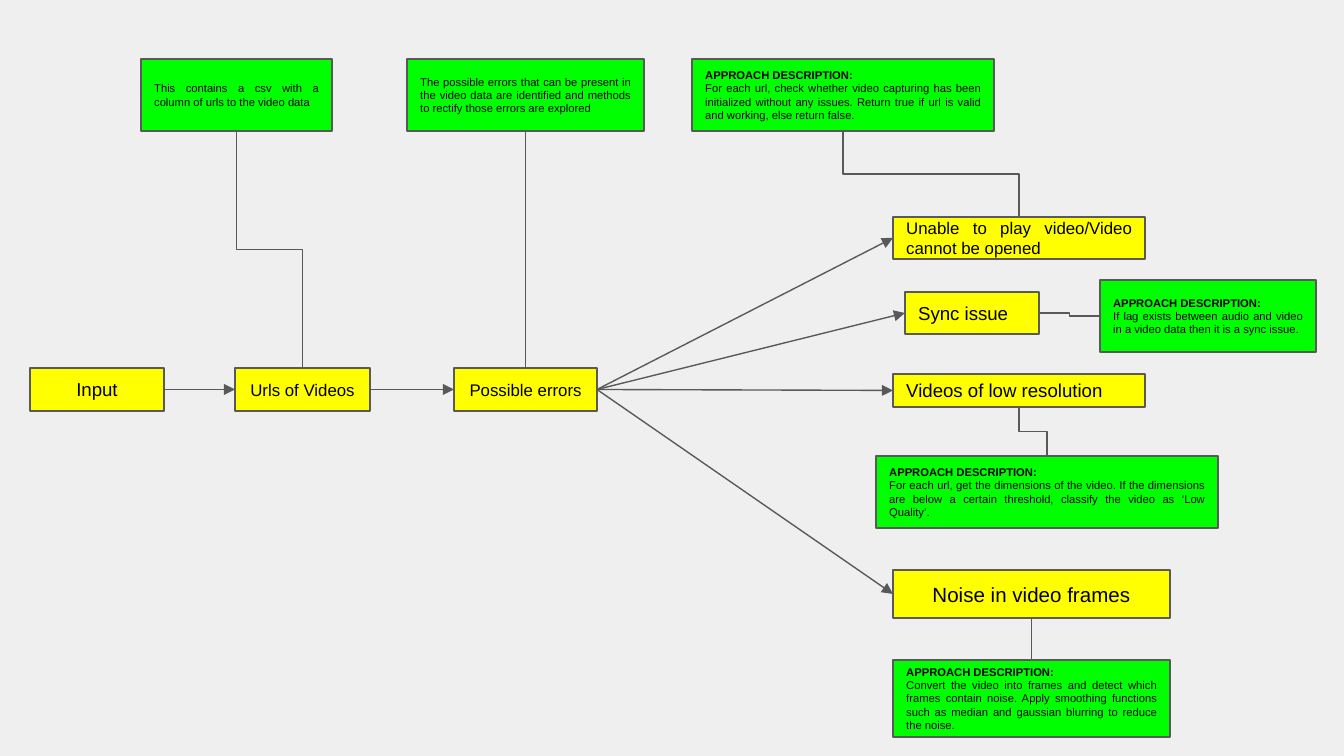
from lxml.etree import SubElement
from pptx import Presentation
from pptx.dml.color import RGBColor
from pptx.enum.shapes import MSO_CONNECTOR, MSO_SHAPE
from pptx.enum.text import MSO_ANCHOR, PP_ALIGN
from pptx.oxml.ns import qn
from pptx.util import Emu, Pt

PX = 914400 / 134.4
BACKGROUND = RGBColor(0xEF, 0xEF, 0xEF)
YELLOW = RGBColor(0xFF, 0xFF, 0x00)
GREEN = RGBColor(0x00, 0xFF, 0x00)
GREY = RGBColor(0x59, 0x59, 0x59)
BLACK = RGBColor(0x00, 0x00, 0x00)
TOP, LEFT, BOTTOM, RIGHT = range(4)
HEADING = "APPROACH DESCRIPTION:"

prs = Presentation()
prs.slide_width, prs.slide_height = Emu(round(1344 * PX)), Emu(round(756 * PX))
slide = prs.slides.add_slide(prs.slide_layouts[6])
slide.background.fill.solid()
slide.background.fill.fore_color.rgb = BACKGROUND


def add_box(text, at, fill=YELLOW, size=10, align=PP_ALIGN.CENTER, heading=None):
    box = slide.shapes.add_shape(MSO_SHAPE.RECTANGLE, *(Emu(round(v * PX)) for v in at))
    box.shadow.inherit = False
    box.fill.solid()
    box.fill.fore_color.rgb = fill
    box.line.color.rgb = GREY
    box.line.width = Pt(0.75)
    frame = box.text_frame
    frame.word_wrap = True
    frame.vertical_anchor = MSO_ANCHOR.MIDDLE
    frame.margin_left = frame.margin_right = Pt(7.2)
    frame.margin_top = frame.margin_bottom = Pt(7.2)
    lines = [heading, text] if heading else [text]
    for i, line in enumerate(lines):
        paragraph = frame.add_paragraph() if i else frame.paragraphs[0]
        paragraph.alignment = align
        run = paragraph.add_run()
        run.text = line
        run.font.name = "Arial"
        run.font.size = Pt(size)
        run.font.bold = line == heading
        run.font.color.rgb = BLACK
    return box


def connect(start, start_side, end, end_side, kind=MSO_CONNECTOR.STRAIGHT, arrow=False):
    link = slide.shapes.add_connector(kind, 0, 0, 0, 0)
    link.begin_connect(start, start_side)
    link.end_connect(end, end_side)
    properties = link._element.spPr
    if kind == MSO_CONNECTOR.ELBOW and start_side == BOTTOM:
        # An elbow that leaves downwards is a mirrored one turned by 270 degrees
        across, down = link.width, link.height
        shift = (across - down) // 2
        link.left, link.top = link.left + shift, link.top - shift
        link.width, link.height = down, across
        properties.xfrm.rot = 270
        properties.xfrm.flipH = True
    link.line.color.rgb = GREY
    link.line.width = Pt(0.75)
    if arrow:
        SubElement(link.line._get_or_add_ln(), qn("a:tailEnd"), type="triangle")
    SubElement(properties, qn("a:effectLst"))


# Main flow
source = add_box("Input", (30, 368, 134, 43))
urls = add_box("Urls of Videos", (235, 368, 135, 43), size=9)
errors = add_box("Possible errors", (454, 368, 143, 43), size=9)

# Kinds of error
unplayable = add_box("Unable to play video/Video cannot be opened", (893, 217, 252, 42),
                     size=9, align=PP_ALIGN.JUSTIFY)
sync = add_box("Sync issue", (905, 292, 134, 42), align=PP_ALIGN.LEFT)
low_resolution = add_box("Videos of low resolution", (893, 374, 252, 33),
                         align=PP_ALIGN.JUSTIFY)
noise = add_box("Noise in video frames", (893, 570, 277, 48), size=11)

# Arrows
connect(source, RIGHT, urls, LEFT, arrow=True)
connect(urls, RIGHT, errors, LEFT, arrow=True)
for error in (unplayable, sync, low_resolution, noise):
    connect(errors, RIGHT, error, LEFT, arrow=True)

# Descriptions
descriptions = [
    (None, "This contains a csv with a column of urls to the video data", (141, 59, 191, 72)),
    (None, "The possible errors that can be present in the video data are identified "
     "and methods to rectify those errors are explored", (407, 59, 237, 72)),
    (HEADING, "For each url, check whether video capturing has been initialized without "
     "any issues. Return true if url is valid and working, else return false.",
     (692, 59, 302, 72)),
    (HEADING, "If lag exists between audio and video in a video data then it is a sync issue.",
     (1100, 280, 216, 72)),
    (HEADING, "For each url, get the dimensions of the video. If the dimensions are below "
     "a certain threshold, classify the video as ‘Low Quality’.", (876, 456, 342, 72)),
    (HEADING, "Convert the video into frames and detect which frames contain noise. Apply "
     "smoothing functions such as median and gaussian blurring to reduce the noise.",
     (893, 660, 277, 77)),
]
(about_urls, about_errors, about_unplayable,
 about_sync, about_resolution, about_noise) = [
    add_box(text, at, fill=GREEN, size=6, align=PP_ALIGN.JUSTIFY, heading=heading)
    for heading, text, at in descriptions
]

# Lines to the descriptions
connect(about_errors, BOTTOM, errors, TOP)
connect(noise, BOTTOM, about_noise, TOP)
connect(about_urls, BOTTOM, urls, TOP, MSO_CONNECTOR.ELBOW)
connect(about_unplayable, BOTTOM, unplayable, TOP, MSO_CONNECTOR.ELBOW)
connect(low_resolution, BOTTOM, about_resolution, TOP, MSO_CONNECTOR.ELBOW)
connect(sync, RIGHT, about_sync, LEFT, MSO_CONNECTOR.ELBOW)

prs.save("out.pptx")
